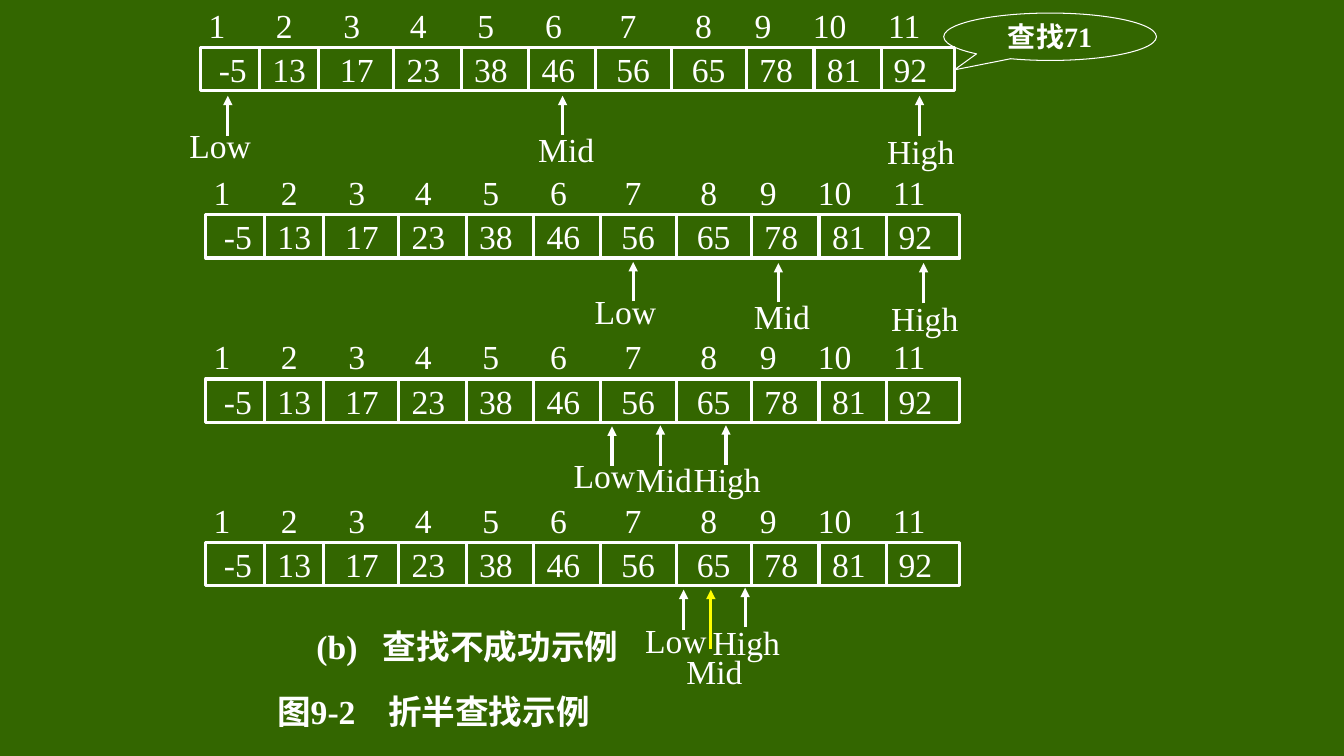
import itertools

import lxml.etree
import pptx
import pptx.dml.color
import pptx.enum.shapes
import pptx.enum.text
import pptx.oxml.ns
import pptx.util

GREEN = pptx.dml.color.RGBColor(0x33, 0x66, 0x00)
WHITE = pptx.dml.color.RGBColor(0xFF, 0xFF, 0xFF)
YELLOW = pptx.dml.color.RGBColor(0xFF, 0xFF, 0x00)
FONT = "Times New Roman"

INDICES = [str(i) for i in range(1, 12)]
VALUES = ["-5", "13", "17", "23", "38", "46", "56", "65", "78", "81", "92"]

# Cell widths in twelfths of an inch
CELLS = [7, 7, 9, 8, 8, 8, 9, 9, 8, 8, 9]
ARRAY_W, ARRAY_H = 7.48, 0.43
INDEX_H = LABEL_H = 0.39
INSET = 0.1
# Text centres, measured from the left edge of the row's box
INDEX_CENTRES = [0.18, 0.85, 1.52, 2.18, 2.85, 3.52, 4.26, 5.01, 5.6, 6.26, 7.0]
VALUE_CENTRES = [0.32, 0.88, 1.55, 2.21, 2.88, 3.55, 4.29, 5.04, 5.71, 6.38, 7.04]

# Pointer label: (distance from label's left edge to its arrow, label width)
LABELS = {"Low": (0.48, 0.76), "Mid": (0.34, 0.7), "High": (0.42, 0.82)}

# Each step: array left, array top, pointers as
# (label, arrow x, arrow tip and label top below the array top, arrow length, colour)
STEPS = [
    (1.99, 0.47, [("Mid", 5.58, 0.48, 0.81, 0.39, WHITE),
                  ("High", 9.12, 0.48, 0.83, 0.4, WHITE),
                  ("Low", 2.26, 0.48, 0.77, 0.4, WHITE)]),
    (2.04, 2.13, [("Mid", 7.72, 0.48, 0.81, 0.39, WHITE),
                  ("High", 9.16, 0.48, 0.83, 0.4, WHITE),
                  ("Low", 6.28, 0.47, 0.76, 0.39, WHITE)]),
    (2.04, 3.76, [("Mid", 6.55, 0.46, 0.8, 0.4, WHITE),
                  ("High", 7.2, 0.46, 0.8, 0.39, WHITE),
                  ("Low", 6.07, 0.47, 0.76, 0.39, WHITE)]),
    (2.04, 5.38, [("Mid", 7.05, 0.47, 1.08, 0.59, YELLOW),
                  ("High", 7.39, 0.45, 0.79, 0.39, WHITE),
                  ("Low", 6.78, 0.47, 0.77, 0.4, WHITE)]),
]

# Captions: number, title, box, tab stop of the title
CAPTIONS = [
    ("(b)", "查找不成功示例", (3.04, 6.19, 3.25, 0.43), 0.66),
    ("图9-2", "折半查找示例", (2.65, 6.82, 3.31, 0.47), 1.1),
]
TARGET = "查找71"


def inches(*lengths):
    return [pptx.util.Inches(n) for n in lengths]


def add_child(parent, tag, **attributes):
    child = lxml.etree.SubElement(parent, pptx.oxml.ns.qn(tag))
    for name, value in attributes.items():
        child.set(name, str(value))
    return child


def write(sp, text, size=24, bold=False, wrap=False, align=pptx.enum.text.PP_ALIGN.LEFT):
    tf = sp.text_frame
    tf.word_wrap = wrap
    tf.vertical_anchor = pptx.enum.text.MSO_ANCHOR.MIDDLE
    p = tf.paragraphs[0]
    p.alignment = align
    r = p.add_run()
    r.text = text
    r.font.name = FONT
    r.font.size = pptx.util.Pt(size)
    r.font.bold = bold
    r.font.color.rgb = WHITE
    return p


def set_tabs(p, stops, kind):
    """Put tab stops, in inches from the text's left edge, on a paragraph."""
    tabs = add_child(p._p.get_or_add_pPr(), "a:tabLst")
    for stop in stops:
        add_child(tabs, "a:tab", pos=int(pptx.util.Inches(stop)), algn=kind)


def write_row(sp, items, centres):
    """Write one item centred on each of the given positions."""
    p = write(sp, "".join("\t" + item for item in items), wrap=True)
    set_tabs(p, [c - INSET for c in centres], "ctr")


def add_text_box(slide, *box):
    """Add a text box whose text may run up to its right edge."""
    sp = slide.shapes.add_textbox(*inches(*box))
    sp.text_frame.margin_right = 0
    return sp


def add_outline(slide, kind, box, width):
    sp = slide.shapes.add_shape(kind, *inches(*box))
    sp.shadow.inherit = False
    sp.fill.background()
    sp.line.color.rgb = WHITE
    sp.line.width = pptx.util.Pt(width)
    return sp


def add_line(slide, x, y1, y2, color=WHITE, arrow=False):
    cx = slide.shapes.add_connector(
        pptx.enum.shapes.MSO_CONNECTOR.STRAIGHT, *inches(x, y1, x, y2))
    cx.line.color.rgb = color
    cx.line.width = pptx.util.Pt(2.25)
    if arrow:
        add_child(cx.line._get_or_add_ln(), "a:tailEnd", type="triangle")
    add_child(cx._element.spPr, "a:effectLst")


def add_step(slide, left, top, pointers):
    array = add_outline(slide, pptx.enum.shapes.MSO_SHAPE.RECTANGLE,
                        (left, top, ARRAY_W, ARRAY_H), 2.25)
    write_row(array, VALUES, VALUE_CENTRES)
    for edge in itertools.accumulate(CELLS[:-1]):
        add_line(slide, left + edge / 12, top, top + ARRAY_H)
    index_row = add_text_box(slide, left - 0.02, top - 0.42, ARRAY_W, INDEX_H)
    write_row(index_row, INDICES, INDEX_CENTRES)
    for label, x, tip, drop, length, color in pointers:
        offset, width = LABELS[label]
        write(add_text_box(slide, x - offset, top + drop, width, LABEL_H), label)
        add_line(slide, x, top + tip + length, top + tip, color, arrow=True)


def main():
    prs = pptx.Presentation()
    prs.slide_width, prs.slide_height = inches(13.33, 7.5)
    slide = prs.slides.add_slide(prs.slide_layouts[6])
    slide.background.fill.solid()
    slide.background.fill.fore_color.rgb = GREEN

    callout = add_outline(slide, pptx.enum.shapes.MSO_SHAPE.OVAL_CALLOUT,
                          (9.36, 0.13, 2.11, 0.47), 0.75)
    callout.adjustments[0] = -0.45
    callout.adjustments[1] = 0.7
    write(callout, TARGET, size=20, bold=True, align=pptx.enum.text.PP_ALIGN.CENTER)

    for left, top, pointers in STEPS:
        add_step(slide, left, top, pointers)
    for number, title, box, stop in CAPTIONS:
        p = write(add_text_box(slide, *box), number + "\t" + title, bold=True, wrap=True)
        set_tabs(p, [stop], "l")
    prs.save("out.pptx")


if __name__ == "__main__":
    main()
